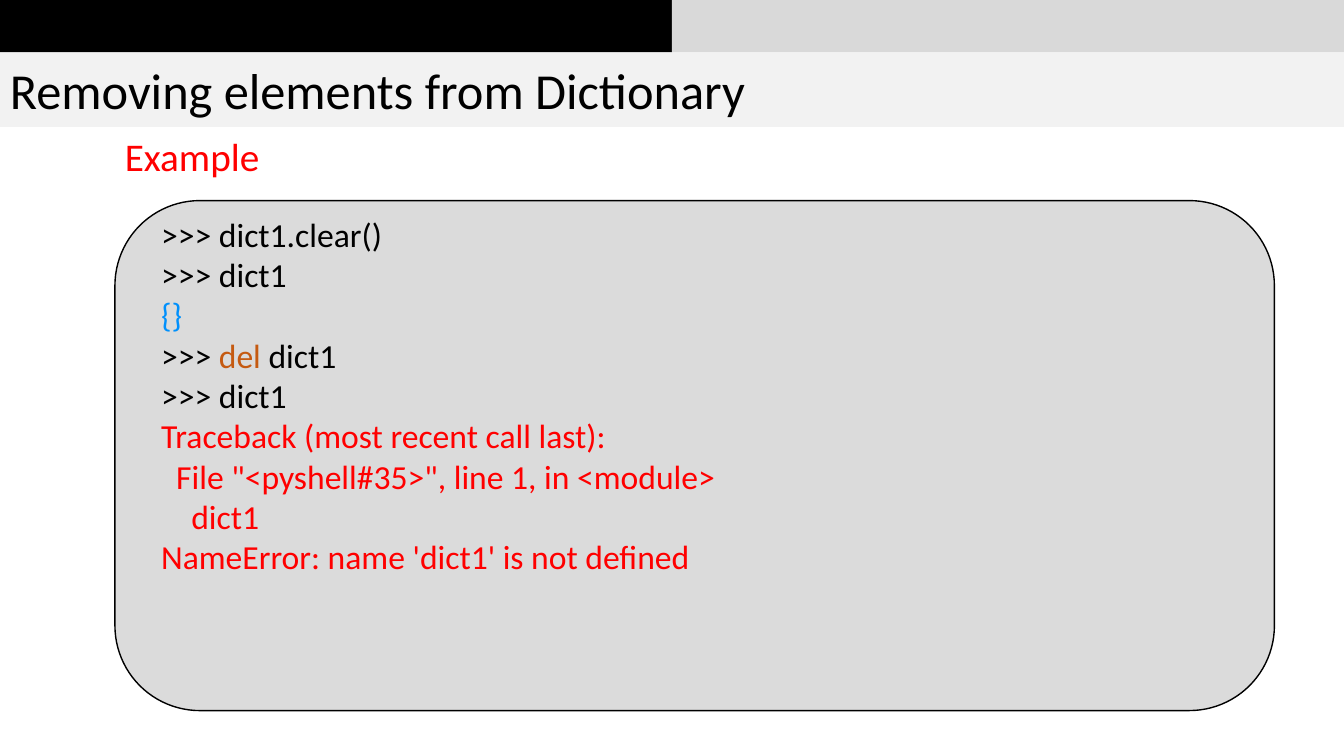
import pptx
import pptx.dml.color
import pptx.enum.shapes
import pptx.enum.text
import pptx.util

WIDTH, HEIGHT = 13.33, 7.5
BAR_HEIGHT, TITLE_HEIGHT = 0.52, 0.74
PANEL_LEFT = 1.14
INDENT = 0.15
FONT = "Calibri"
BLACK, RED, BLUE, ORANGE = "000000", "FF0000", "0090FC", "C55A11"

# Each line: indent level, then (text, colour) pieces
CONSOLE_LINES = [
    (0, [(">>> dict1.clear()", BLACK)]),
    (0, [(">>> dict1", BLACK)]),
    (0, [("{}", BLUE)]),
    (0, [(">>> ", BLACK), ("del", ORANGE), (" dict1", BLACK)]),
    (0, [(">>> dict1", BLACK)]),
    (0, [("Traceback (most recent call last):", RED)]),
    (1, [('File "<pyshell#35>", line 1, in <module>', RED)]),
    (2, [("dict1", RED)]),
    (0, [("NameError: name 'dict1' is not defined", RED)]),
]


def color(hex_string):
    return pptx.dml.color.RGBColor.from_string(hex_string)


def inches(*lengths):
    return [pptx.util.Inches(length) for length in lengths]


def add_box(slide, box, fill, line=None, kind="RECTANGLE"):
    shape_type = getattr(pptx.enum.shapes.MSO_SHAPE, kind)
    shape = slide.shapes.add_shape(shape_type, *inches(*box))
    shape.shadow.inherit = False
    shape.fill.solid()
    shape.fill.fore_color.rgb = color(fill)
    if line:
        shape.line.color.rgb = color(line)
        shape.line.width = pptx.util.Pt(1)
    else:
        shape.line.fill.background()
    return shape


def add_text_box(slide, box, wrap=True):
    frame = slide.shapes.add_textbox(*inches(*box)).text_frame
    frame.word_wrap = wrap
    frame.auto_size = pptx.enum.text.MSO_AUTO_SIZE.SHAPE_TO_FIT_TEXT
    return frame


def write_line(paragraph, pieces, size, level=0):
    paragraph.alignment = pptx.enum.text.PP_ALIGN.LEFT
    paragraph.font.name = FONT
    paragraph.font.size = pptx.util.Pt(size)
    if level:
        margin = pptx.util.Inches(INDENT * level)
        paragraph._p.get_or_add_pPr().set("marL", str(margin))
    for text, text_color in pieces:
        run = paragraph.add_run()
        run.text = text
        run.font.color.rgb = color(text_color)


def add_header(slide, title):
    for column, fill in enumerate((BLACK, "D9D9D9")):
        add_box(slide, (column * WIDTH / 2, 0, WIDTH / 2, BAR_HEIGHT), fill)
    band = add_box(slide, (0, BAR_HEIGHT, WIDTH, TITLE_HEIGHT), "F2F2F2")
    band.text_frame.vertical_anchor = pptx.enum.text.MSO_ANCHOR.MIDDLE
    write_line(band.text_frame.paragraphs[0], [(title, BLACK)], 36)


def add_console(slide):
    add_box(slide, (PANEL_LEFT, 1.99, 11.5, 5.06), "DBDBDB", BLACK, "ROUNDED_RECTANGLE")
    heading = add_text_box(slide, (PANEL_LEFT, BAR_HEIGHT + TITLE_HEIGHT, 1.64, 0.57), wrap=False)
    write_line(heading.paragraphs[0], [("Example", RED)], 28)
    console = add_text_box(slide, (1.5, 2.07, 10.7, 3.74))
    for index, (level, pieces) in enumerate(CONSOLE_LINES):
        paragraph = console.add_paragraph() if index else console.paragraphs[0]
        write_line(paragraph, pieces, 24, level)


def main():
    presentation = pptx.Presentation()
    presentation.slide_width, presentation.slide_height = inches(WIDTH, HEIGHT)
    slide = presentation.slides.add_slide(presentation.slide_layouts[6])
    add_header(slide, "Removing elements from Dictionary")
    add_console(slide)
    presentation.save("out.pptx")


if __name__ == "__main__":
    main()
